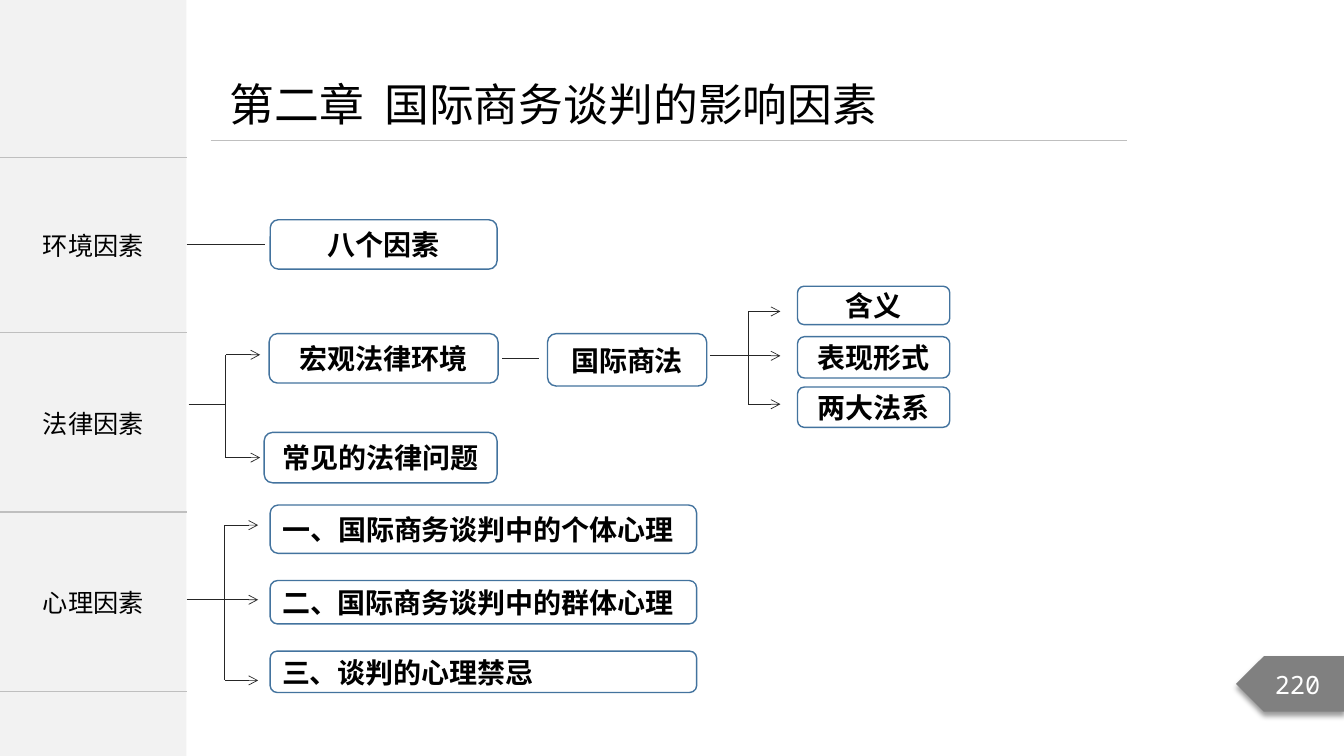
from lxml.etree import SubElement
from pptx import Presentation
from pptx.dml.color import RGBColor
from pptx.enum.shapes import MSO_CONNECTOR as Connector, MSO_SHAPE as Shape
from pptx.enum.text import MSO_ANCHOR as Anchor, MSO_AUTO_SIZE as AutoSize, PP_ALIGN as Align
from pptx.oxml import parse_xml
from pptx.oxml.ns import nsdecls, qn
from pptx.util import Pt

PX = 9144  # EMU in one px, 100 px to the inch
COLORS = {
    "black": "000000", "white": "FFFFFF", "panel": "F2F2F2", "rule": "BFBFBF",
    "badge": "808080", "node": "43739E", "link": "262626",
}
SANS, MONO = "Noto Sans CJK SC", "Noto Sans Mono"


def px(*lengths):
    return [length * PX for length in lengths]


def rgb(name):
    return RGBColor.from_string(COLORS[name])


def write(frame, text, size=18, color="black", font=SANS, bold=False,
          align=Align.CENTER, spacing=0):
    """Append a span to the first paragraph; spacing is in points."""
    frame.word_wrap = True
    frame.vertical_anchor = Anchor.MIDDLE
    para = frame.paragraphs[0]
    para.alignment = align
    span = para.add_run()
    span.text = text
    span.font.size = Pt(size)
    span.font.bold = bold
    span.font.name = font
    span.font.color.rgb = rgb(color)
    properties = span.font._element
    SubElement(properties, qn("a:ea")).set("typeface", font)
    if spacing:
        properties.set("spc", str(round(spacing * 100)))


class SlideBuilder:
    def __init__(self, deck):
        self.slide = deck.slides.add_slide(deck.slide_layouts[5])
        self.shapes = self.slide.shapes

    def title(self, chapter, name):
        title = self.shapes.title
        title.left, title.top, title.width, title.height = px(218, 71, 693, 64)
        title.text_frame.auto_size = AutoSize.NONE
        for text, spacing in ((chapter, 0), (" ", 7), (name, 0)):
            write(title.text_frame, text, size=32, align=Align.LEFT, spacing=spacing)

    def shape(self, kind, at, fill=None, line=None):
        shape = self.shapes.add_shape(kind, *px(*at))
        shape.shadow.inherit = False
        if fill:
            shape.fill.solid()
            shape.fill.fore_color.rgb = rgb(fill)
        else:
            shape.fill.background()
        if line:
            shape.line.color.rgb = rgb(line)
            shape.line.width = Pt(1)
        else:
            shape.line.fill.background()
        return shape

    def node(self, text, *at, align=Align.CENTER):
        box = self.shape(Shape.ROUNDED_RECTANGLE, at, line="node")
        write(box.text_frame, text, size=20, bold=True, align=align, spacing=-0.1)

    def line(self, *ends, color="link", arrow=False):
        line = self.shapes.add_connector(Connector.STRAIGHT, *px(*ends))
        line.line.color.rgb = rgb(color)
        line.line.width = Pt(0.5)
        if arrow:
            SubElement(line.line._get_or_add_ln(), qn("a:tailEnd")).set("type", "arrow")
        SubElement(line._element.spPr, qn("a:effectLst"))

    def branch(self, start, trunk, tip, stem, targets):
        """Draw a stem from start to a vertical trunk, with an arrow to tip at each target."""
        self.line(trunk, targets[0], trunk, targets[-1])
        self.line(start, stem, trunk, stem)
        for y in targets:
            self.line(trunk, y, tip, y, arrow=True)

    def side_table(self, labels, at, heights):
        table = self.shapes.add_table(len(labels), 1, *px(*at)).table
        table.first_row = table.horz_banding = False
        for row, label, height in zip(table.rows, labels, heights):
            row.height = height * PX
            cell = row.cells[0]
            write(cell.text_frame, label)
            cell.vertical_anchor = Anchor.MIDDLE
            cell.fill.background()
            self.cell_borders(cell)

    def cell_borders(self, cell):
        rule = f'<a:solidFill><a:srgbClr val="{COLORS["rule"]}"/></a:solidFill>'
        sides = {"L": "<a:noFill/>", "R": "<a:noFill/>", "T": rule, "B": rule}
        for index, (side, paint) in enumerate(sides.items()):
            border = f'<a:ln{side} {nsdecls("a")} w="12700">{paint}</a:ln{side}>'
            cell._tc.get_or_add_tcPr().insert(index, parse_xml(border))

    def page_badge(self, number, *at):
        badge = self.shape(Shape.PENTAGON, at, fill="badge")
        properties = badge._element.spPr
        properties.xfrm.set("flipH", "1")
        properties.find(qn("a:effectLst")).append(parse_xml(
            f'<a:outerShdw {nsdecls("a")} blurRad="50800" dist="38100" dir="5400000">'
            f'<a:srgbClr val="{COLORS["black"]}"><a:alpha val="40000"/></a:srgbClr>'
            '</a:outerShdw>'))
        write(badge.text_frame, number, color="white", font=MONO)


def main():
    deck = Presentation()
    deck.slide_width, deck.slide_height = px(1333, 750)
    page = SlideBuilder(deck)
    page.shape(Shape.RECTANGLE, (0, 0, 185, 750), fill="panel")
    page.side_table(["环境因素", "法律因素", "心理因素"], (0, 156, 185, 530), [174, 178, 178])
    page.title("第二章", "国际商务谈判的影响因素")
    page.line(209, 139, 1118, 139, color="rule")
    page.page_badge("220", 1226, 651, 108, 55)

    page.line(185, 242, 263, 242)
    page.node("八个因素", 268, 218, 225, 49)

    page.branch(187, 224, 258, stem=401, targets=[352, 454])
    page.node("宏观法律环境", 267, 331, 227, 49)
    page.node("常见的法律问题", 262, 429, 231, 50)
    page.line(498, 356, 535, 356)
    page.node("国际商法", 543, 331, 158, 52)
    page.branch(704, 742, 774, stem=353, targets=[309, 353, 401])
    for text, top, height in (("含义", 284, 38), ("表现形式", 334, 41), ("两大法系", 384, 40)):
        page.node(text, 791, top, 151, height)

    page.branch(185, 223, 256, stem=595, targets=[521, 595, 675])
    for text, top, height in (
        ("一、国际商务谈判中的个体心理", 501, 48),
        ("二、国际商务谈判中的群体心理", 576, 43),
        ("三、谈判的心理禁忌", 646, 41),
    ):
        page.node(text, 268, top, 423, height, align=Align.LEFT)
    deck.save("out.pptx")


if __name__ == "__main__":
    main()
